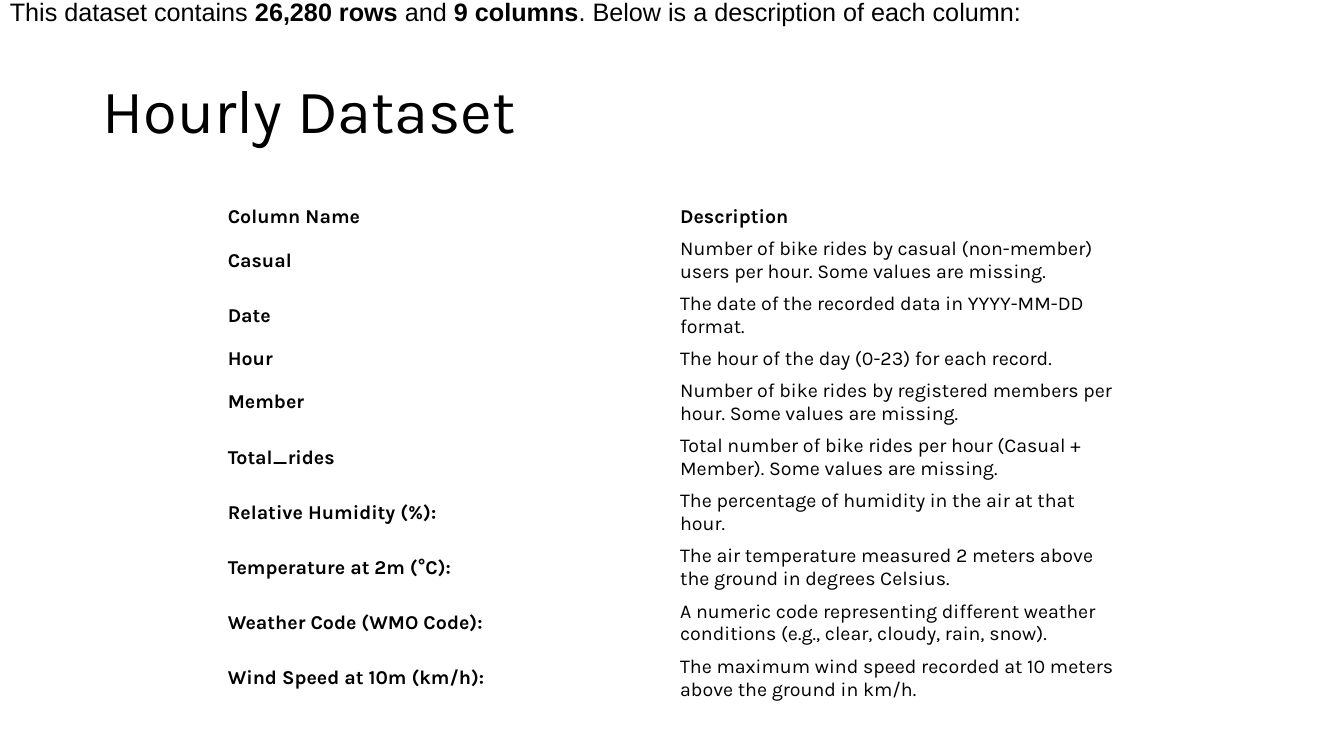
from pptx import Presentation
from pptx.dml.color import RGBColor
from pptx.enum.text import MSO_ANCHOR as Anchor
from pptx.util import Cm, Pt

COLORS = {"text": "000000", "background": "FFFFFF"}
HEADING_FONT = {"name": "Karla", "size": Pt(44), "bold": False}
INTRO_FONT = {"name": "Arial", "size": Pt(18)}
TABLE_FONT = {"name": "Karla", "size": Pt(14)}
CELL_FORMAT = {
    "margin_left": Cm(0.2), "margin_right": Cm(0.2),
    "margin_top": Cm(0.1), "margin_bottom": Cm(0.1),
    "vertical_anchor": Anchor.MIDDLE,
}
LINE_CAPACITY = 45
ROW_HEIGHTS = {"one line": Cm(0.79), "two lines": Cm(1.39)}

INTRO = [
    ("This dataset contains ", False),
    ("26,280 rows", True),
    (" and ", False),
    ("9 columns", True),
    (". Below is a description of each column:", False),
]
COLUMNS = [
    ("Column Name", "Description"),
    ("Casual", "Number of bike rides by casual (non-member) users per hour. "
               "Some values are missing."),
    ("Date", "The date of the recorded data in YYYY-MM-DD format."),
    ("Hour", "The hour of the day (0-23) for each record."),
    ("Member", "Number of bike rides by registered members per hour. "
               "Some values are missing."),
    ("Total_rides", "Total number of bike rides per hour (Casual + Member). "
                    "Some values are missing."),
    ("Relative Humidity (%):", "The percentage of humidity in the air at that hour."),
    ("Temperature at 2m (°C):", "The air temperature measured 2 meters above the ground "
                                "in degrees Celsius."),
    ("Weather Code (WMO Code):", "A numeric code representing different weather conditions "
                                 "(e.g., clear, cloudy, rain, snow)."),
    ("Wind Speed at 10m (km/h):", "The maximum wind speed recorded at 10 meters above "
                                  "the ground in km/h."),
]


def apply_format(target, values):
    for name, value in values.items():
        setattr(target, name, value)


def add_run(paragraph, text, font_format):
    run = paragraph.add_run()
    run.text = text
    apply_format(run.font, font_format)
    run.font.color.rgb = RGBColor.from_string(COLORS["text"])


def add_text_frame(slide, box, frame_format):
    frame = slide.shapes.add_textbox(*map(Cm, box)).text_frame
    apply_format(frame, frame_format)
    return frame


def add_heading(slide):
    frame = add_text_frame(slide, (2.33, 1.01, 29.21, 3.68),
                           {"word_wrap": True, "vertical_anchor": Anchor.MIDDLE})
    paragraph = frame.paragraphs[0]
    paragraph.line_spacing = 0.9
    add_run(paragraph, "Hourly Dataset", HEADING_FONT)


def add_intro(slide):
    frame = add_text_frame(slide, (0, -0.1, 33.87, 1.27),
                           {"word_wrap": True, "vertical_anchor": Anchor.TOP,
                            "margin_top": 0, "margin_bottom": 0})
    for text, bold in INTRO:
        add_run(frame.paragraphs[0], text, {**INTRO_FONT, "bold": bold})


def fill_cell(cell, text, bold):
    cell.fill.background()
    apply_format(cell, CELL_FORMAT)
    add_run(cell.text_frame.paragraphs[0], text, {**TABLE_FONT, "bold": bold})


def add_column_table(slide):
    frame = slide.shapes.add_table(len(COLUMNS), 2, Cm(5.54), Cm(5.08), Cm(22.8), Cm(12.1))
    table = frame.table
    apply_format(table, {"first_row": False, "horz_banding": False})
    for index, (name, description) in enumerate(COLUMNS):
        wraps = len(description) > LINE_CAPACITY
        table.rows[index].height = ROW_HEIGHTS["two lines" if wraps else "one line"]
        fill_cell(table.cell(index, 0), name, True)
        fill_cell(table.cell(index, 1), description, index == 0)


def main():
    presentation = Presentation()
    presentation.slide_width = Cm(33.87)
    presentation.slide_height = Cm(19.05)
    slide = presentation.slides.add_slide(presentation.slide_layouts[6])
    background = slide.background.fill
    background.solid()
    background.fore_color.rgb = RGBColor.from_string(COLORS["background"])
    add_heading(slide)
    add_column_table(slide)
    add_intro(slide)
    presentation.save("out.pptx")


if __name__ == "__main__":
    main()
